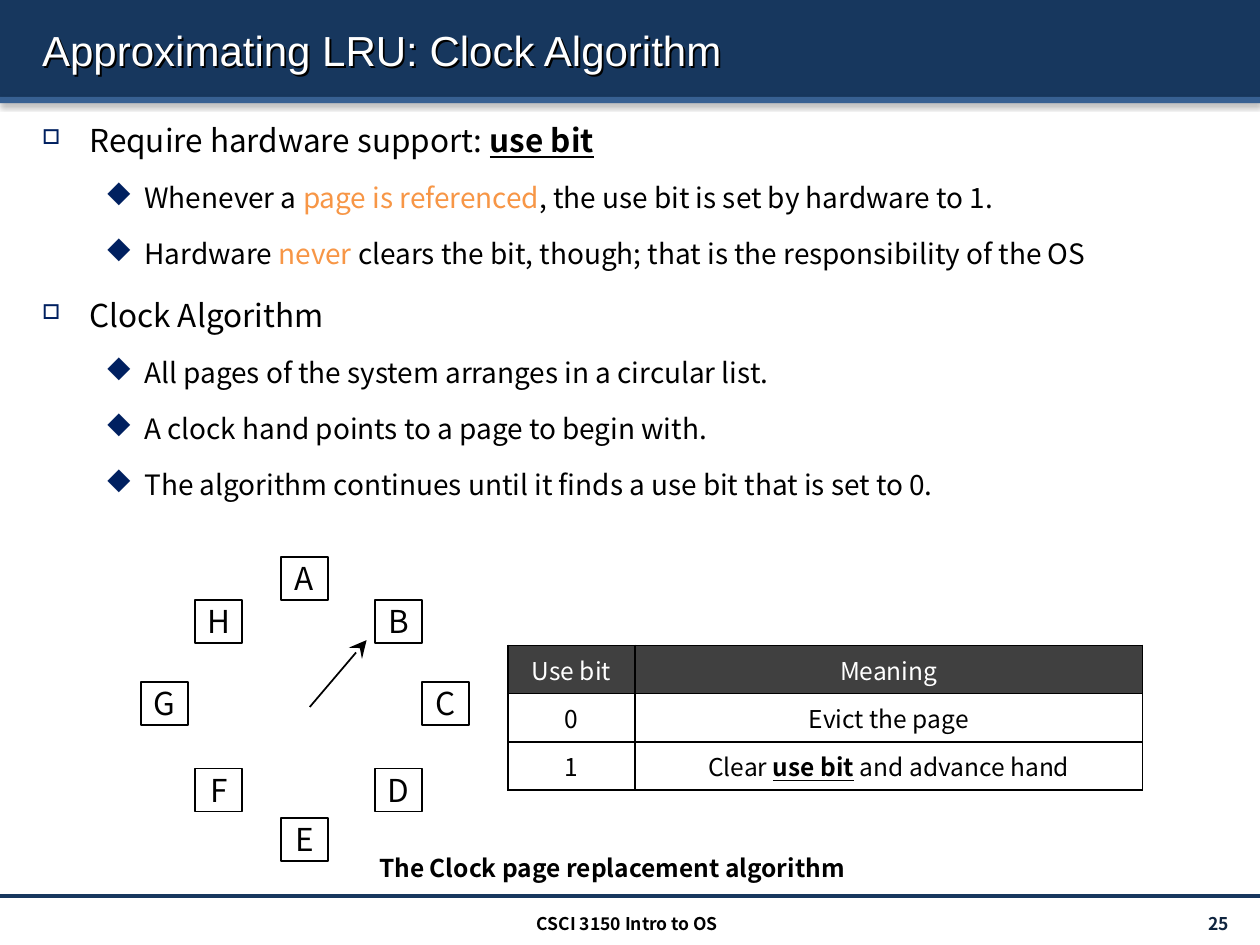
from typing import NamedTuple

from lxml.etree import SubElement as Sub
from pptx import Presentation
from pptx.dml.color import RGBColor as Rgb
from pptx.enum.shapes import MSO_CONNECTOR as Link, MSO_SHAPE as Form
from pptx.enum.text import MSO_ANCHOR as Anchor, PP_ALIGN as Align
from pptx.oxml import parse_xml
from pptx.oxml.ns import nsdecls, qn
from pptx.util import Pt

HUES = {
    "navy": "17375E", "blue": "376092", "bullet": "002060", "number": "0F243E",
    "orange": "F79646", "head": "404040", "black": "000000", "white": "FFFFFF",
}
SANS, ARIAL, SYMBOL = "Noto Sans CJK KR", "Arial", "Wingdings"


class Span(NamedTuple):
    text: str
    hue: str = "black"
    bold: bool = False
    under: bool = False


class Item(NamedTuple):
    level: int
    spans: list[Span]


class Look(NamedTuple):
    size: float
    left: float
    hang: float
    mark: str
    scale: int


class Page(NamedTuple):
    name: str
    left: float
    top: float


USE_BIT = Span("use bit", bold=True, under=True)
# In the symbol font, "o" draws a hollow square and "u" a diamond
LOOKS = [Look(18, 27, 27, "o", 65), Look(16, 58.5, 22.5, "u", 100)]
ITEMS = [
    Item(0, [Span("Require hardware support: "), USE_BIT]),
    Item(1, [Span("Whenever a "), Span("page is referenced", "orange"),
             Span(", the use bit is set by hardware to 1.")]),
    Item(1, [Span("Hardware "), Span("never", "orange"),
             Span(" clears the bit, though; that is the responsibility of the OS")]),
    Item(0, [Span("Clock Algorithm")]),
    Item(1, [Span("All pages of the system arranges in a circular list.")]),
    Item(1, [Span("A clock hand points to a page to begin with.")]),
    Item(1, [Span("The algorithm continues until it finds a use bit that is set to 0.")]),
]
PAGES = [
    Page("A", 160.6, 318.2), Page("B", 214.4, 342.7), Page("C", 241.2, 389.7),
    Page("D", 214.4, 439.2), Page("E", 160.6, 467.3), Page("F", 111.6, 439.2),
    Page("G", 80.6, 389.7), Page("H", 111.6, 342.7),
]
CELLS = [
    [[Span("Use bit", "white")], [Span("Meaning", "white")]],
    [[Span("0")], [Span("Evict the page")]],
    [[Span("1")], [Span("Clear "), USE_BIT, Span(" and advance hand")]],
]


def color(hue: str) -> Rgb:
    return Rgb.from_string(HUES[hue])


def shade(blur: float, dist: float, angle: int, alpha: int):
    return parse_xml(
        f'<a:effectLst {nsdecls("a")}><a:outerShdw blurRad="{Pt(blur)}" '
        f'dist="{Pt(dist)}" dir="{angle * 60000}" algn="tl" rotWithShape="0">'
        f'<a:srgbClr val="{HUES["black"]}"><a:alpha val="{alpha * 1000}"/>'
        '</a:srgbClr></a:outerShdw></a:effectLst>')


def write(para, spans: list[Span], size: float, face: str = SANS) -> None:
    for span in spans:
        run = para.add_run()
        run.text = span.text
        font = run.font
        font.size, font.bold, font.underline = Pt(size), span.bold, span.under
        font.color.rgb, font.name = color(span.hue), face
        Sub(font._element, qn("a:ea"), typeface=face)


def label(slide, box: tuple, span: Span, size: float, align=Align.LEFT,
          anchor=Anchor.TOP, face: str = SANS, wrap: bool = True):
    shape = slide.shapes.add_textbox(*map(Pt, box))
    frame = shape.text_frame
    frame.word_wrap, frame.vertical_anchor = wrap, anchor
    para = frame.paragraphs[0]
    para.alignment = align
    write(para, [span], size, face)
    return shape


def block(slide, box: tuple, hue: str, edge: str | None = None):
    shape = slide.shapes.add_shape(Form.RECTANGLE, *map(Pt, box))
    shape.shadow.inherit = False
    shape.fill.solid()
    shape.fill.fore_color.rgb = color(hue)
    if edge:
        shape.line.color.rgb, shape.line.width = color(edge), Pt(1)
    else:
        shape.line.fill.background()
    return shape


def line(slide, ends: tuple, hue: str, width: float, tip: str = "") -> None:
    link = slide.shapes.add_connector(Link.STRAIGHT, *map(Pt, ends))
    link.line.color.rgb, link.line.width = color(hue), Pt(width)
    if tip:
        Sub(link.line._get_or_add_ln(), qn("a:tailEnd"), type=tip, w="lg", len="lg")
    Sub(link._element.spPr, qn("a:effectLst"))


def outline(slide, box: tuple, items: list[Item]) -> None:
    frame = slide.shapes.add_textbox(*map(Pt, box)).text_frame
    frame.word_wrap = True
    for spot, item in enumerate(items):
        para = frame.add_paragraph() if spot else frame.paragraphs[0]
        look = LOOKS[item.level]
        para.level, para.line_spacing = item.level, 1.5
        props = para._p.get_or_add_pPr()
        props.set("marL", str(Pt(look.left)))
        props.set("indent", str(-Pt(look.hang)))
        Sub(Sub(props, qn("a:spcBef")), qn("a:spcPct"), val="20000")
        Sub(Sub(props, qn("a:buClr")), qn("a:srgbClr"), val=HUES["bullet"])
        Sub(props, qn("a:buSzPct"), val=str(look.scale * 1000))
        Sub(props, qn("a:buFont"), typeface=SYMBOL, pitchFamily="2", charset="2")
        Sub(props, qn("a:buChar"), char=look.mark)
        write(para, item.spans, look.size)


def grid(slide, left: float, top: float, widths: list[float], high: float) -> None:
    box = (left, top, sum(widths), high * len(CELLS))
    table = slide.shapes.add_table(len(CELLS), len(widths), *map(Pt, box)).table
    for col, width in zip(table.columns, widths):
        col.width = Pt(width)
    for row, texts in enumerate(CELLS):
        table.rows[row].height = Pt(high)
        for col, spans in enumerate(texts):
            cell = table.cell(row, col)
            cell.vertical_anchor = Anchor.MIDDLE
            para = cell.text_frame.paragraphs[0]
            para.alignment = Align.CENTER
            write(para, spans, 14)
            props = cell._tc.get_or_add_tcPr()
            for side in ("lnL", "lnR", "lnT", "lnB"):
                edge = Sub(props, qn(f"a:{side}"), w=str(Pt(1)))
                Sub(Sub(edge, qn("a:solidFill")), qn("a:srgbClr"), val=HUES["black"])
            cell.fill.solid()
            cell.fill.fore_color.rgb = color("white" if row else "head")


def main() -> None:
    deck = Presentation()
    deck.slide_width, deck.slide_height = Pt(720), Pt(540)
    slide = deck.slides.add_slide(deck.slide_layouts[6])

    # Header bars and footer rule
    for top, high, hue in ((0, 55.4, "navy"), (55.4, 3.6, "blue")):
        props = block(slide, (0, top, 720, high), hue)._element.spPr
        props.replace(props.find(qn("a:effectLst")), shade(3.1, 1.6, 90, 38))
    line(slide, (0, 512, 720, 512), "navy", 2)

    # Title; the unfilled box casts its shadow from the text
    title = label(slide, (17, 5.4, 692, 46), Span("Approximating LRU: Clock Algorithm", "white"),
                  24, anchor=Anchor.MIDDLE, face=ARIAL)
    title._element.spPr.append(shade(0, 1.5, 45, 100))

    # Bullets and footer
    outline(slide, (17, 54.7, 692, 433.4), ITEMS)
    label(slide, (627, 519, 82.2, 17.3), Span("25", "number", True), 10,
          Align.RIGHT, Anchor.MIDDLE)
    label(slide, (239, 518.4, 239, 17.3), Span("CSCI 3150 Intro to OS", bold=True), 10,
          Align.CENTER)

    # Clock of pages with its hand
    for page in PAGES:
        block(slide, (page.left, page.top, 26.8, 24.6), "white", "black")
    line(slide, (177, 404, 209.5, 365.8), "black", 1, "stealth")

    # Table and caption
    grid(slide, 290.2, 368.8, [72.6, 290.2], 27.6)
    block(slide, (209.5, 483.8, 289.4, 24.2), "white")
    label(slide, (209.5, 483.8, 289.4, 24.2),
          Span("The Clock page replacement algorithm", bold=True), 14)

    # Page letters
    for page in PAGES:
        label(slide, (page.left, page.top - 2.4, 26.8, 29), Span(page.name), 18,
              Align.CENTER, wrap=False)

    deck.save("out.pptx")


if __name__ == "__main__":
    main()
